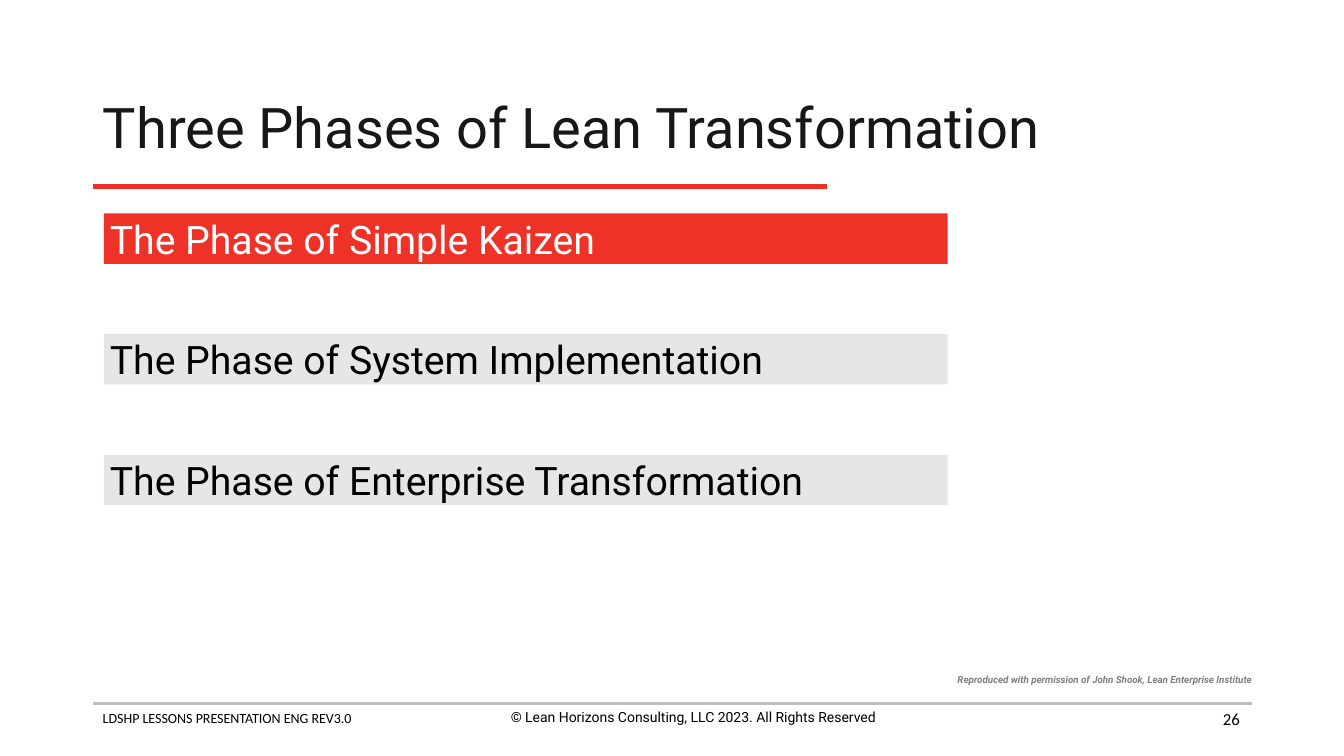
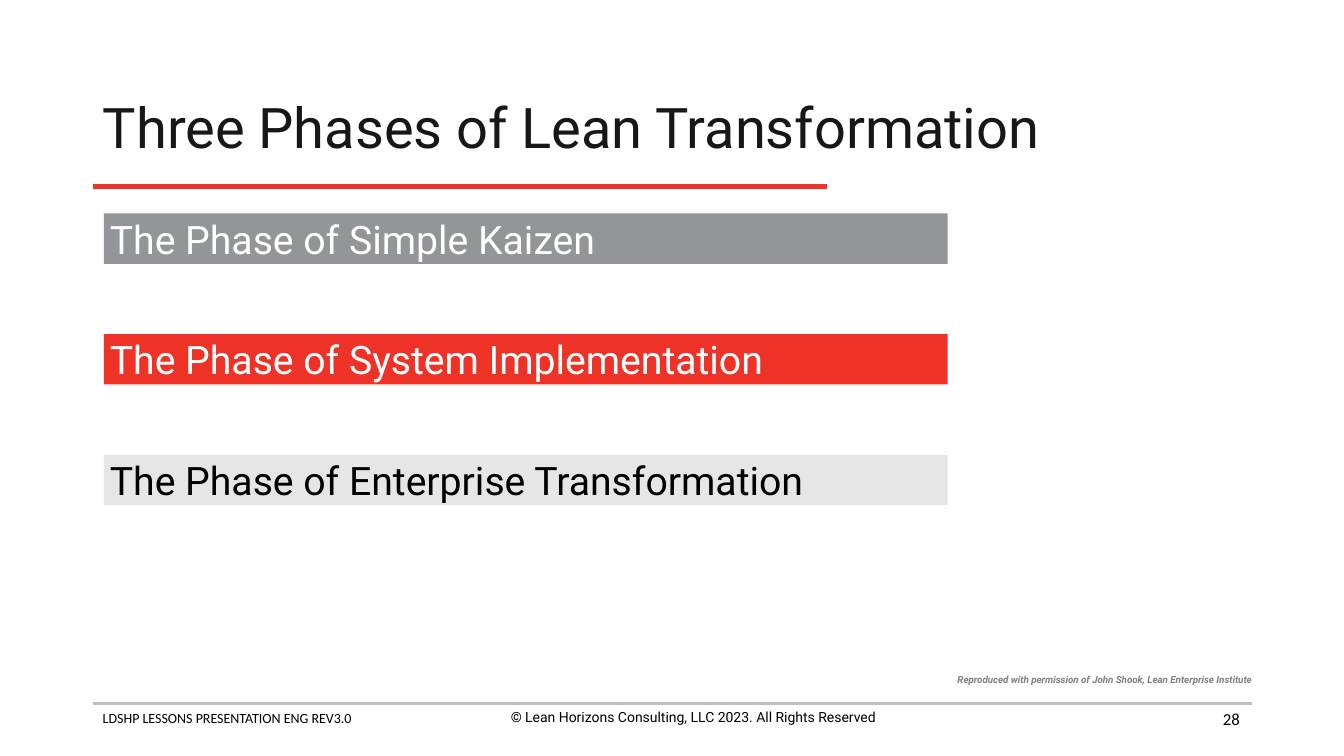
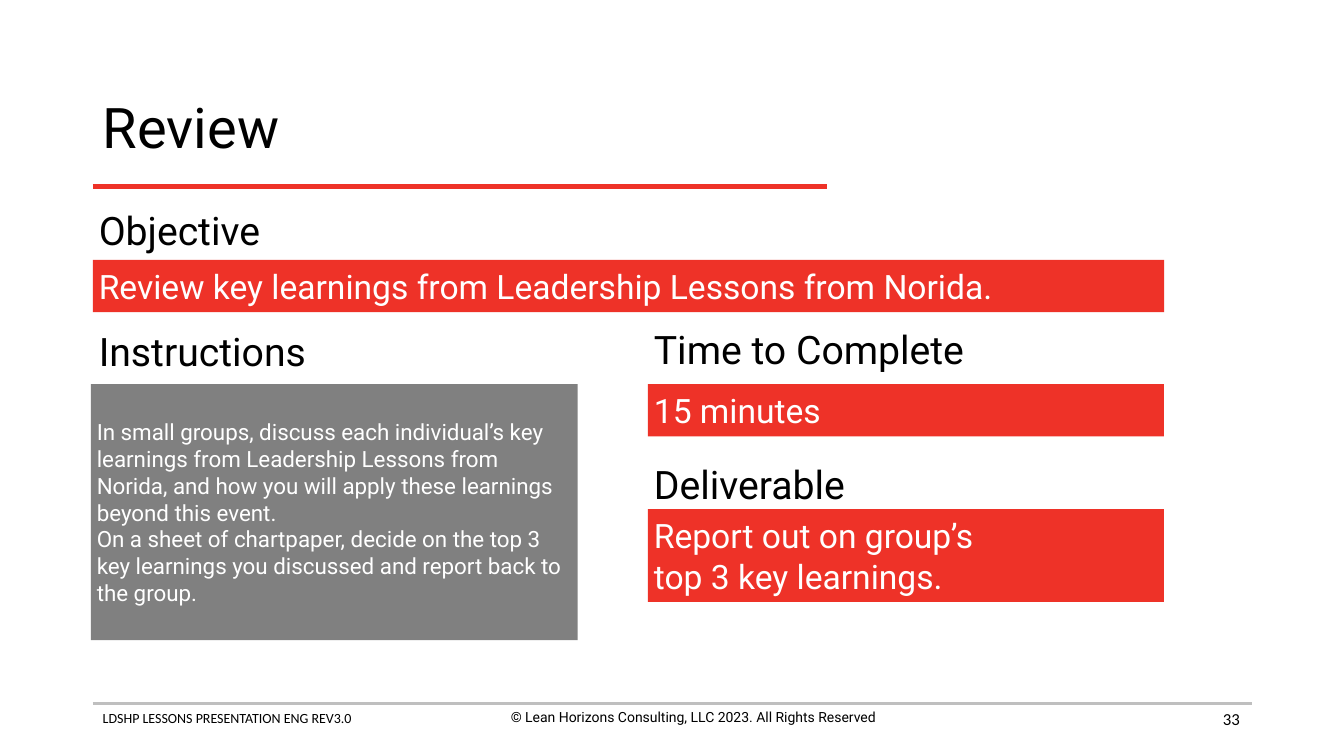
import copy

import pptx
import pptx.dml.color
import pptx.enum.shapes
import pptx.enum.text
import pptx.oxml
import pptx.oxml.ns
import pptx.util

Cm = pptx.util.Cm
Pt = pptx.util.Pt
ALIGN = pptx.enum.text.PP_ALIGN
ANCHOR = pptx.enum.text.MSO_ANCHOR
RECT = pptx.enum.shapes.MSO_SHAPE.RECTANGLE
STRAIGHT = pptx.enum.shapes.MSO_CONNECTOR.STRAIGHT
rgb = pptx.dml.color.RGBColor.from_string

RED, GREY, DARK_GREY, LIGHT = "EE3228", "939598", "808080", "E7E6E6"
BLACK, WHITE, RULE_GREY, TITLE_BLACK = "000000", "FFFFFF", "BFBFBF", "181717"
LEFT, RIGHT = 2.34, 31.55
PAD = 0.15


def write(sp, text, size, color=BLACK, font="Roboto", fill=None, align=ALIGN.LEFT,
          anchor=ANCHOR.TOP, pad=None, spacing=None, bold=False, italic=False):
    """Fill a shape with text: \\n starts a paragraph, \\v breaks a line."""
    if fill:
        sp.shadow.inherit = False
        sp.fill.solid()
        sp.fill.fore_color.rgb = rgb(fill)
        sp.line.fill.background()
    tf = sp.text_frame
    tf.text = text
    tf.word_wrap = True
    tf.auto_size = pptx.enum.text.MSO_AUTO_SIZE.NONE
    tf.vertical_anchor = anchor
    if pad is not None:
        tf.margin_left = tf.margin_top = tf.margin_right = tf.margin_bottom = Cm(pad)
    for p in tf.paragraphs:
        p.alignment = align
        if spacing:
            p.line_spacing = spacing
        for r in p.runs:
            r.font.name = font
            r.font.size = Pt(size)
            r.font.bold = bold
            r.font.italic = italic
            r.font.color.rgb = rgb(color)
        # A line break keeps the size of the text around it
        for br in p._p.findall(pptx.oxml.ns.qn("a:br")):
            br.append(copy.deepcopy(p.runs[0]._r.rPr))


def add_rule(s, x1, x2, y, color, width):
    line = s.shapes.add_connector(STRAIGHT, Cm(x1), Cm(y), Cm(x2), Cm(y))
    line.line.color.rgb = rgb(color)
    line.line.width = Pt(width)
    line._element.spPr.append(pptx.oxml.parse_xml(
        "<a:effectLst %s/>" % pptx.oxml.ns.nsdecls("a")))


prs = pptx.Presentation()
prs.slide_width, prs.slide_height = Cm(33.87), Cm(19.05)
layout = prs.slide_layouts[5]
title = layout.placeholders[0]
title.left, title.top, title.width, title.height = Cm(LEFT), Cm(1.88), Cm(29.21), Cm(2.79)

# Title, rules and footer on every slide
PHASES_TITLE = "Three Phases of Lean Transformation"
slides = []
for number, heading, color in [("26", PHASES_TITLE, TITLE_BLACK),
                               ("28", PHASES_TITLE, TITLE_BLACK),
                               ("33", "Review", BLACK)]:
    s = prs.slides.add_slide(layout)
    slides.append(s)
    add_rule(s, LEFT, RIGHT, 17.73, RULE_GREY, 2)
    add_rule(s, LEFT, 20.83, 4.7, RED, 3)
    write(s.shapes.title, heading, 40, color, anchor=ANCHOR.MIDDLE, spacing=0.9)
    sp = s.shapes.add_textbox(Cm(LEFT), Cm(17.75), Cm(11.58), Cm(0.69))
    write(sp, "LDSHP LESSONS PRESENTATION ENG REV3.0", 10, font="Calibri")
    sp = s.shapes.add_textbox(Cm(11.68), Cm(17.73), Cm(11.58), Cm(1.12))
    write(sp, "© Lean Horizons Consulting, LLC 2023. All Rights Reserved", 10,
          align=ALIGN.CENTER)
    sp = s.shapes.add_textbox(Cm(23.88), Cm(17.6), Cm(7.62), Cm(1.02))
    write(sp, number, 12, font="Calibri", align=ALIGN.RIGHT, anchor=ANCHOR.MIDDLE)

# Phase slides: the current phase is red, past ones grey, coming ones light
phases = ["The Phase of Simple Kaizen", "The Phase of System Implementation",
          "The Phase of Enterprise Transformation"]
for current, s in enumerate(slides[:2]):
    for i, phase in enumerate(phases):
        sp = s.shapes.add_shape(RECT, Cm(2.62), Cm(5.38 + 3.04 * i), Cm(21.26), Cm(1.27))
        fill = RED if i == current else GREY if i < current else LIGHT
        write(sp, phase, 28, BLACK if i > current else WHITE, fill=fill,
              anchor=ANCHOR.MIDDLE, pad=PAD)
    sp = s.shapes.add_textbox(Cm(23.88), Cm(16.92), Cm(8.18), Cm(0.51))
    write(sp, "Reproduced with permission of John Shook, Lean Enterprise Institute", 7,
          DARK_GREY, spacing=0.8, bold=True, italic=True)

# Review slide: headings and the boxes under them
s = slides[2]
COLUMN = 16.33
for text, x, y, w in [("Objective", LEFT, 5.05, 6), ("Instructions", LEFT, 8.1, 8),
                      ("Time to Complete", COLUMN, 8.05, 10),
                      ("Deliverable", COLUMN, 11.46, 8)]:
    sp = s.shapes.add_textbox(Cm(x), Cm(y), Cm(w), Cm(1.47))
    write(sp, text, 28, pad=PAD)

instructions = (
    "In small groups, discuss each individual’s key\vlearnings from Leadership Lessons from "
    "Norida, and how you will apply these learnings\vbeyond this event.\n"
    "On a sheet of chartpaper, decide on the top 3 key learnings you discussed and report "
    "back to\vthe group.")
for text, x, y, w, h, size, fill in [
        ("Review key learnings from Leadership Lessons from Norida.",
         LEFT, 6.55, 27, 1.32, 24, RED),
        (instructions, 2.29, 9.68, 12.27, 6.45, 16, DARK_GREY),
        ("15 minutes", COLUMN, 9.68, 13, 1.32, 24, RED),
        ("Report out on group’s\vtop 3 key learnings.", COLUMN, 12.83, 13, 2.34, 24, RED)]:
    sp = s.shapes.add_shape(RECT, Cm(x), Cm(y), Cm(w), Cm(h))
    write(sp, text, size, WHITE, fill=fill, anchor=ANCHOR.MIDDLE, pad=PAD)

prs.save("out.pptx")
